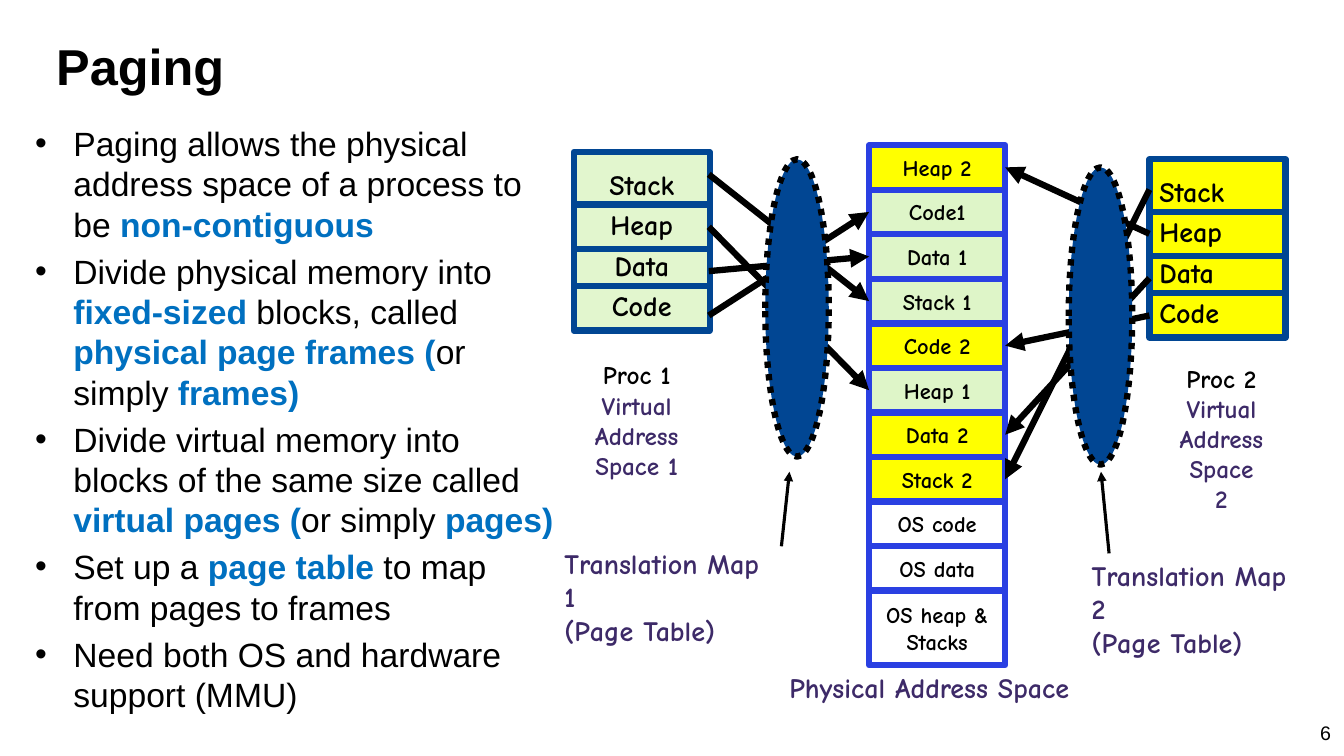
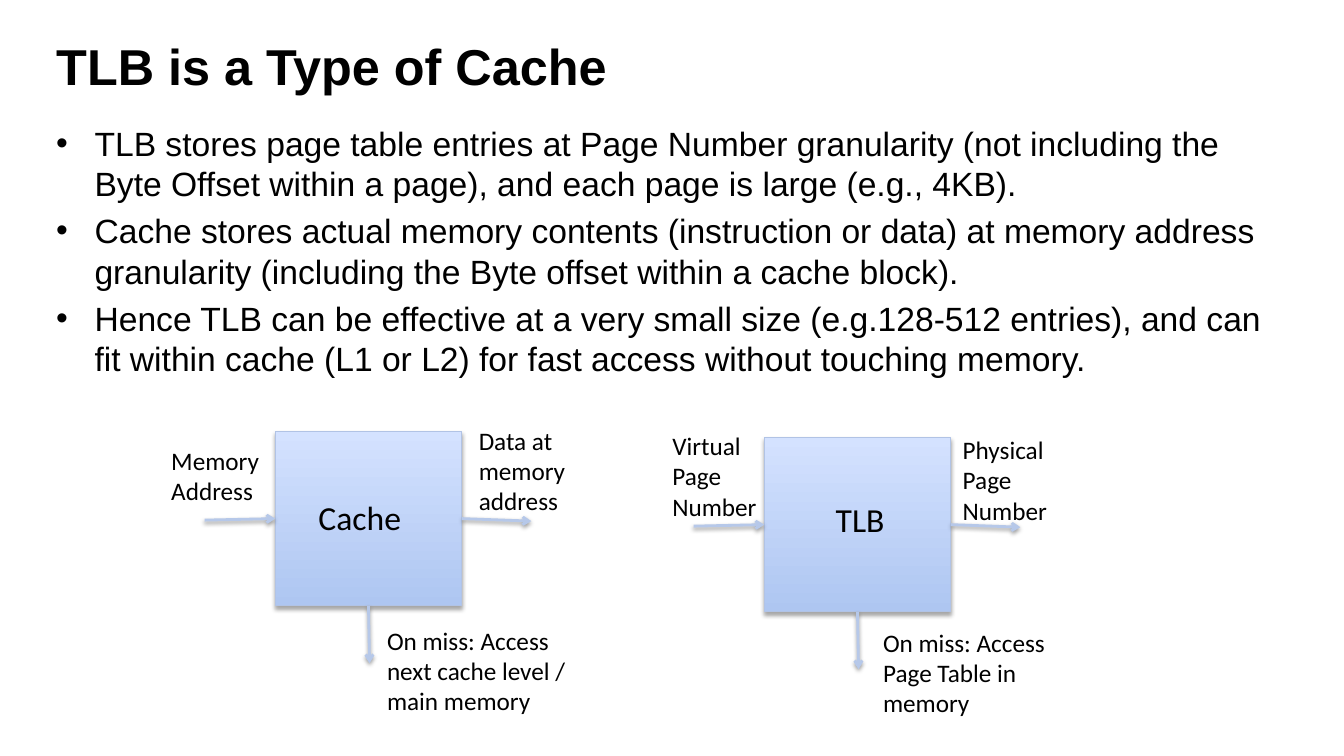
"""Build two lecture slides on paging and the TLB."""
import pptx
import pptx.dml.color
import pptx.enum.dml
import pptx.enum.shapes
import pptx.enum.text
import pptx.oxml
import pptx.oxml.ns
import pptx.util

Inches = pptx.util.Inches
Pt = pptx.util.Pt
RGBColor = pptx.dml.color.RGBColor
SHAPE = pptx.enum.shapes.MSO_SHAPE
ALIGN = pptx.enum.text.PP_ALIGN
ANCHOR = pptx.enum.text.MSO_ANCHOR

BLACK = RGBColor(0x00, 0x00, 0x00)
WHITE = RGBColor(0xFF, 0xFF, 0xFF)
BLUE = RGBColor(0x00, 0x70, 0xC0)
NAVY = RGBColor(0x01, 0x46, 0x93)
ROYAL = RGBColor(0x2A, 0x40, 0xE2)
PURPLE = RGBColor(0x3D, 0x2A, 0x68)
YELLOW = RGBColor(0xFF, 0xFF, 0x00)
GREEN = RGBColor(0xE2, 0xF6, 0xCE)
LIME = RGBColor(0xDE, 0xF5, 0xC8)
SKY = RGBColor(0xB6, 0xC8, 0xE9)
EDGE = RGBColor(0xB1, 0xC3, 0xE5)
DEEP = RGBColor(0xAE, 0xC6, 0xF1)
PALE = RGBColor(0xD4, 0xE2, 0xFF)

COMIC = "Comic Neue"
HEAVY = 4.5
TOP, LEFT, BOTTOM, RIGHT = range(4)
FRAMES = [
    ("Heap 2", YELLOW), ("Code1", LIME), ("Data 1", LIME), ("Stack 1", LIME),
    ("Code 2", YELLOW), ("Heap 1", LIME), ("Data 2", YELLOW),
    ("Stack 2", YELLOW), ("OS code", WHITE), ("OS data", WHITE),
    ("OS heap &\nStacks", WHITE),
]
PARTS = ["Stack", "Heap", "Data", "Code"]


def add_xml(parent, body):
    """Append a drawing element, given as its inner markup, to a parent."""
    tag, _, rest = body.partition(" ")
    space = pptx.oxml.ns.nsdecls("a")
    parent.append(pptx.oxml.parse_xml(f"<a:{tag} {space} {rest}"))


def write(frame, text, size=18, font="Arial", color=BLACK, bold=False,
          mark=BLUE, align=ALIGN.LEFT, space=None, before=0, bullet=False):
    """Fill a text frame, with *marked* parts bold and in the mark colour."""
    frame.word_wrap = True
    for index, line in enumerate(text.split("\n")):
        para = frame.add_paragraph() if index else frame.paragraphs[0]
        para.alignment = align
        if space:
            para.line_spacing = space
        if index and before:
            para.space_before = Pt(before)
        if bullet:
            props = para._p.get_or_add_pPr()
            props.set("marL", str(Inches(0.38)))
            props.set("indent", str(-Inches(0.38)))
            add_xml(props, 'buFont typeface="Arial"/>')
            add_xml(props, 'buChar char="•"/>')
        for turn, part in enumerate(line.split("*")):
            if part:
                run = para.add_run()
                run.text = part
                run.font.size = Pt(size)
                run.font.name = font
                run.font.bold = bold or turn % 2 == 1
                run.font.color.rgb = mark if turn % 2 else color


def label(slide, box, text, **style):
    """Add a text box."""
    frame = slide.shapes.add_textbox(*map(Inches, box)).text_frame
    write(frame, text, **style)


def shade(shape, alpha, dist):
    """Give a shape a soft shadow below it."""
    props = shape.element.spPr
    for old in props.findall(pptx.oxml.ns.qn("a:effectLst")):
        props.remove(old)
    add_xml(props, f'effectLst ><a:outerShdw blurRad="{Pt(3.1)}" '
            f'dist="{Pt(dist)}" dir="5400000" rotWithShape="0">'
            f'<a:srgbClr val="000000"><a:alpha val="{alpha * 1000}"/>'
            '</a:srgbClr></a:outerShdw></a:effectLst>')


def block(slide, box, fill, line, width=HEAVY, kind=SHAPE.RECTANGLE):
    """Add a shape with a fill, or a gradient if two colours are given."""
    shape = slide.shapes.add_shape(kind, *map(Inches, box))
    shape.shadow.inherit = False
    if isinstance(fill, list):
        shape.fill.gradient()
        shape.fill.gradient_angle = 90
        for stop, color in zip(shape.fill.gradient_stops, fill):
            stop.color.rgb = color
    else:
        shape.fill.solid()
        shape.fill.fore_color.rgb = fill
    shape.line.color.rgb = line
    shape.line.width = Pt(width)
    shape.text_frame.vertical_anchor = ANCHOR.MIDDLE
    return shape


def link(slide, start, end, color=BLACK, width=HEAVY, head=None):
    """Add a straight line, with an arrowhead if one is named."""
    line = slide.shapes.add_connector(
        pptx.enum.shapes.MSO_CONNECTOR.STRAIGHT, *map(Inches, start + end))
    line.line.color.rgb = color
    line.line.width = Pt(width)
    props = line.element.spPr
    if head:
        add_xml(props.find(pptx.oxml.ns.qn("a:ln")), f'tailEnd type="{head}"/>')
    add_xml(props, "effectLst />")
    return line


def start(deck, title, left, width, points):
    """Add a slide with its title and bullet list."""
    slide = deck.slides.add_slide(deck.slide_layouts[6])
    label(slide, (0.46, 0.3, 12.4, 0.71), title, size=36, bold=True)
    label(slide, (left, 1.17, width, 5.62), points,
          size=24, before=4.8, bullet=True)
    return slide


def process(slide, left, top, fill, align):
    """Draw the four parts of a process's address space."""
    shape = block(slide, (left, top, 1.35, 1.77), fill, NAVY)
    write(shape.text_frame, "\n".join(PARTS), size=20, font=COMIC,
          bold=True, align=align, space=1.2)
    for drop in (0.52, 0.96, 1.33):
        link(slide, (left, top + drop), (left + 1.35, top + drop), NAVY)


def memory(slide):
    """Draw the column of physical frames and return its cells."""
    top, last = 1.44, 5.86
    step = (last - top) / (len(FRAMES) - 1)
    cells = {}
    for index, (name, fill) in enumerate(FRAMES):
        tall = 0.74 if name == FRAMES[-1][0] else step
        cell = block(slide, (8.62, top + index * step, 1.35, tall), fill, ROYAL)
        write(cell.text_frame, name, size=16, font=COMIC, bold=True,
              align=ALIGN.CENTER)
        cells[name] = cell
    return cells


def route(slide, cells, number, left, side, heights):
    """Draw arrows from the parts of a process to their frames."""
    for part, height in zip(PARTS, heights):
        name = f"{part} {number}"
        cell = cells.get(name) or cells[f"{part}{number}"]
        arrow = link(slide, (left, height), (8.62, height), head="triangle")
        arrow.end_connect(cell, side)


def paging(deck):
    """Build the slide on paging."""
    slide = start(
        deck, "Paging", 0.25, 5.36,
        "Paging allows the physical address space of a process to be "
        "*non-contiguous*\n"
        "Divide physical memory into *fixed-sized* blocks, called "
        "*physical page frames (*or simply *frames)*\n"
        "Divide virtual memory into blocks of the same size called "
        "*virtual pages (*or simply *pages)*\n"
        "Set up a *page table *to map from pages to frames\n"
        "Need both OS and hardware support (MMU)")
    label(slide, (12.68, 7.1, 0.62, 0.4), "6", size=14, align=ALIGN.RIGHT)
    process(slide, 5.69, 1.51, GREEN, ALIGN.CENTER)
    process(slide, 11.4, 1.58, YELLOW, ALIGN.LEFT)
    cells = memory(slide)
    route(slide, cells, 1, 7.03, LEFT, (1.73, 2.25, 2.69, 3.13))
    route(slide, cells, 2, 11.4, RIGHT, (1.88, 2.32, 2.76, 3.13))
    for left, top in ((7.59, 1.58), (10.6, 1.66)):
        lens = block(slide, (left, top, 0.63, 2.95), NAVY, BLACK,
                     kind=SHAPE.OVAL)
        lens.line.dash_style = pptx.enum.dml.MSO_LINE.ROUND_DOT
    for number, left, top in ((1, 5.8, 3.52), (2, 11.6, 3.55)):
        label(slide, (left, top, 1.03, 1.31),
              f"Proc {number}\n*Virtual*\n*Address*\n*Space {number}*",
              font=COMIC, bold=True, mark=PURPLE, align=ALIGN.CENTER)
    note = dict(size=20, font=COMIC, color=PURPLE, bold=True)
    for number, left, top in ((1, 5.5, 5.37), (2, 10.73, 5.49)):
        label(slide, (left, top, 2.26, 0.77),
              f"Translation Map {number}\n(Page Table)", **note)
    label(slide, (7.73, 6.6, 3.25, 0.5), "Physical Address Space", **note)
    for tail, tip in (((7.75, 5.42), (7.83, 4.68)), ((11, 5.49), (10.92, 4.68))):
        link(slide, tail, tip, width=2.25, head="triangle")


def lookup(slide, left, top, name, spot):
    """Draw a lookup box with its arrows in, out and down on a miss."""
    wide, tall = 1.85, 1.73
    box = block(slide, (left, top, wide, tall), [DEEP, PALE], EDGE, 0.75)
    shade(box, 35, 1.8)
    label(slide, spot, name, size=24, font="Calibri")
    mid = (left + wide / 2, top + tall / 2)
    into = link(slide, (left - 0.7, top + 0.88), mid, SKY, 2, "arrow")
    into.end_connect(box, LEFT)
    out = link(slide, mid, (left + 2.54, top + 0.89), SKY, 2, "arrow")
    out.begin_connect(box, RIGHT)
    miss = link(slide, mid, (mid[0] + 0.01, top + 2.3), SKY, 2, "arrow")
    miss.begin_connect(box, BOTTOM)
    for arrow in (into, out, miss):
        shade(arrow, 38, 1.6)


def cache(deck):
    """Build the slide that compares the TLB with a cache."""
    slide = start(
        deck, "TLB is a Type of Cache", 0.46, 12.4,
        "TLB stores page table entries at Page Number granularity (not "
        "including the Byte Offset within a page), and each page is large "
        "(e.g., 4KB).\n"
        "Cache stores actual memory contents (instruction or data) at memory "
        "address granularity (including the Byte offset within a cache "
        "block).\n"
        "Hence TLB can be effective at a very small size (e.g.128-512 "
        "entries), and can fit within cache (L1 or L2) for fast access "
        "without touching memory.")
    lookup(slide, 2.73, 4.28, "Cache", (3.06, 4.88, 1.29, 0.5))
    lookup(slide, 7.58, 4.34, "TLB", (8.19, 4.9, 0.98, 0.5))
    for left, top, width, text in (
            (1.6, 4.37, 1.18, "Memory Address"),
            (4.65, 4.17, 1.18, "Data at memory address"),
            (6.57, 4.22, 1.32, "Virtual Page Number"),
            (9.45, 4.26, 1.32, "Physical Page Number"),
            (3.74, 6.15, 2.08, "On miss: Access next cache level / main memory"),
            (8.66, 6.17, 2.08, "On miss: Access Page Table in memory")):
        label(slide, (left, top, width, 1.01), text, font="Calibri")


def main():
    """Build and save the deck."""
    deck = pptx.Presentation()
    deck.slide_width = Inches(13.33)
    deck.slide_height = Inches(7.5)
    paging(deck)
    cache(deck)
    deck.save("out.pptx")


if __name__ == "__main__":
    main()
